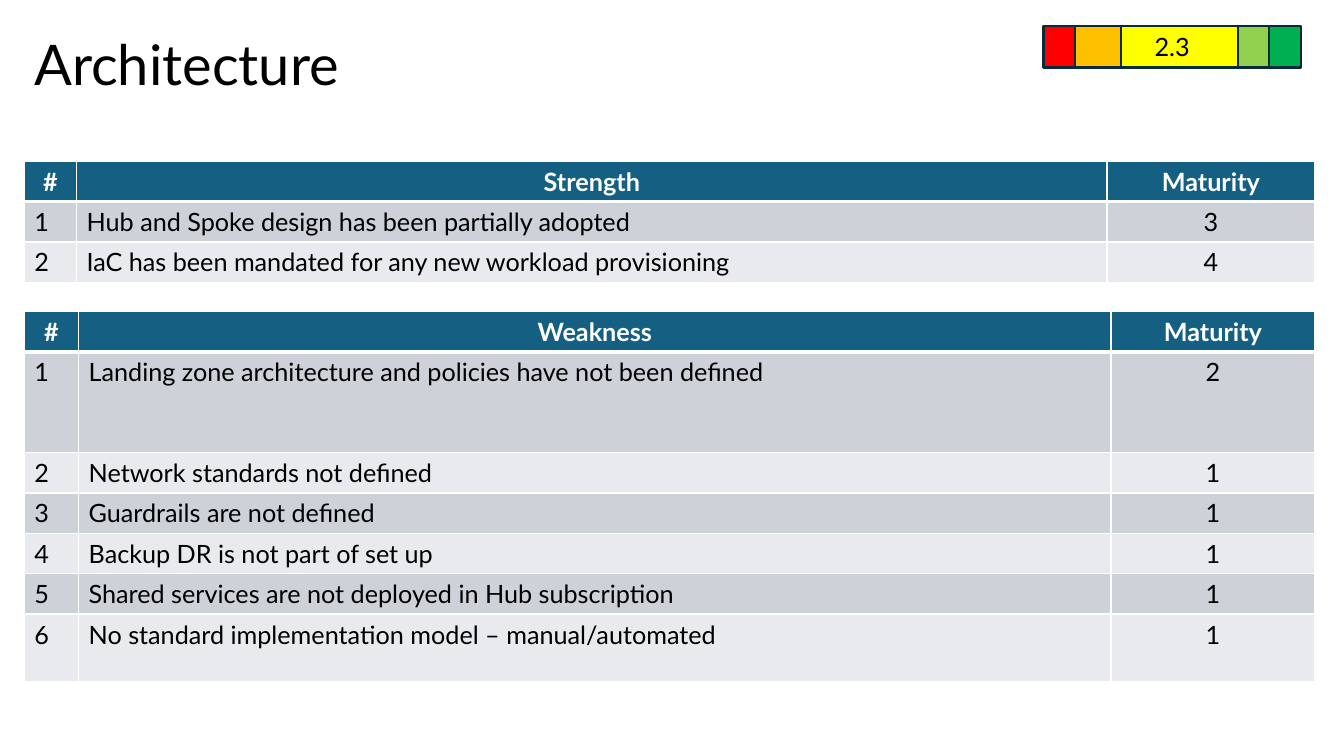
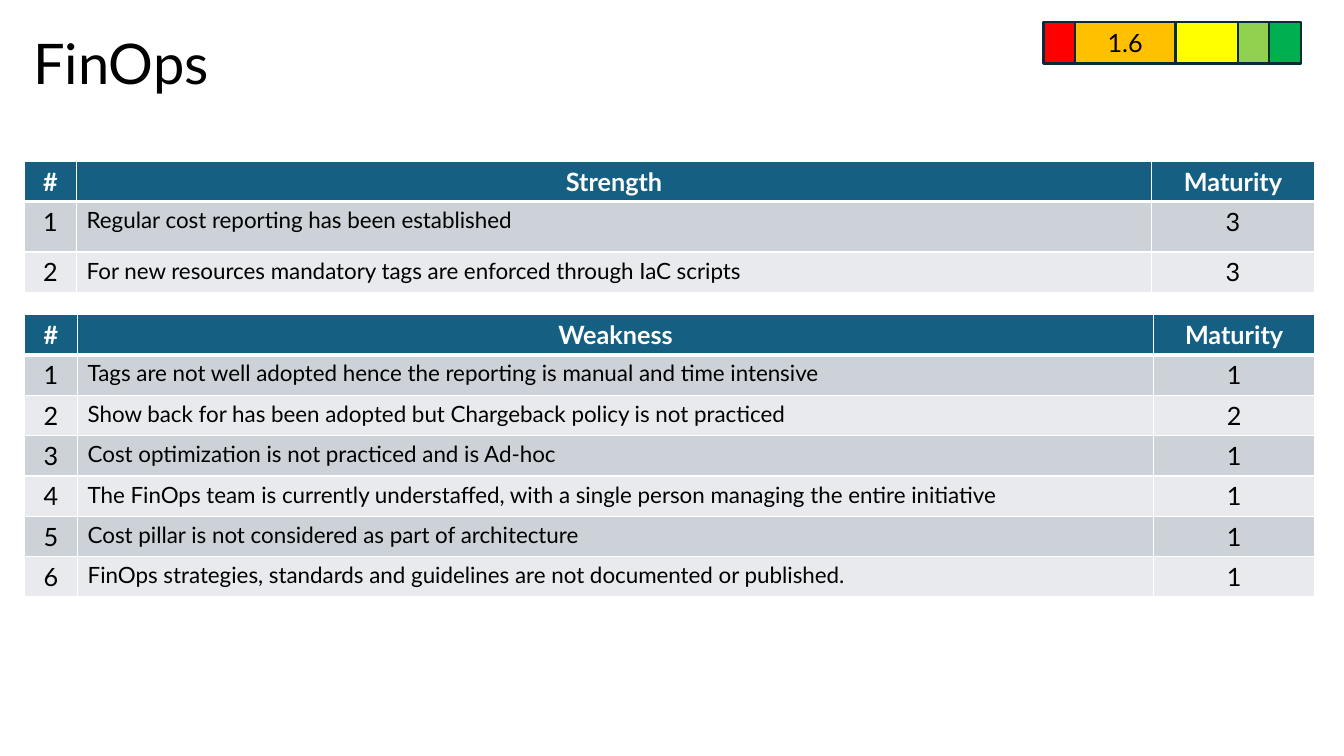
from dataclasses import dataclass

from lxml.etree import SubElement
from pptx import Presentation
from pptx.dml.color import RGBColor
from pptx.enum.shapes import MSO_SHAPE as Shape
from pptx.enum.text import MSO_ANCHOR as Anchor, MSO_AUTO_SIZE as AutoSize, PP_ALIGN as Align
from pptx.oxml.ns import qn
from pptx.slide import Slide
from pptx.table import _Cell as Cell
from pptx.text.text import TextFrame
from pptx.util import Inches, Pt

BLACK = RGBColor(0x00, 0x00, 0x00)
WHITE = RGBColor(0xFF, 0xFF, 0xFF)
HEADER_BLUE = RGBColor(0x15, 0x60, 0x82)
BANDS = (RGBColor(0xCC, 0xD2, 0xD8), RGBColor(0xE8, 0xEA, 0xED))
METER_LINE = RGBColor(0x09, 0x2A, 0x39)
RED = RGBColor(0xFF, 0x00, 0x00)
ORANGE = RGBColor(0xFF, 0xC0, 0x00)
YELLOW = RGBColor(0xFF, 0xFF, 0x00)
LIGHT_GREEN = RGBColor(0x92, 0xD0, 0x50)
GREEN = RGBColor(0x00, 0xB0, 0x50)

FONT = "Lato"
TITLE_FORMAT = {"name": FONT, "size": Pt(40), "bold": False}
HEADER_FORMAT = {"name": FONT, "size": Pt(18), "bold": True}
BODY_FORMAT = {"name": FONT, "size": Pt(18), "bold": False}

TABLE_LEFT, TABLE_WIDTH, ROW_HEIGHT = 0.24, 12.8, 0.4
METER_LEFT, METER_STEP, LEVEL_WIDTH, LEVEL_HEIGHT = 10.35, 0.31, 1.31, 0.41
LEVEL_COLORS = (RED, ORANGE, YELLOW, LIGHT_GREEN, GREEN)
STACKING = (GREEN, LIGHT_GREEN, RED, YELLOW, ORANGE)


@dataclass(frozen=True)
class Finding:
    text: str
    maturity: int
    height: float = ROW_HEIGHT


@dataclass(frozen=True)
class FindingTable:
    heading: str
    top: float
    number_width: float
    maturity_width: float
    findings: tuple[Finding, ...]
    header_height: float = ROW_HEIGHT


@dataclass(frozen=True)
class Meter:
    top: float
    score: str
    level: RGBColor
    orange_width: float


@dataclass(frozen=True)
class Page:
    title: str
    title_box: tuple[float, float, float, float]
    meter: Meter
    tables: tuple[FindingTable, ...]
    number_align: Align
    text_size: int


PAGES = (
    Page(
        "Architecture", (0.24, 0.07, 10.11, 1.2), Meter(0.26, "2.3", YELLOW, 0.46),
        (
            FindingTable("Strength", 1.6, 0.52, 2.06, (
                Finding("Hub and Spoke design has been partially adopted", 3),
                Finding("IaC has been mandated for any new workload provisioning", 4),
            )),
            FindingTable("Weakness", 3.09, 0.54, 2.02, (
                Finding("Landing zone architecture and policies have not been defined", 2, 1),
                Finding("Network standards not defined", 1),
                Finding("Guardrails are not defined", 1),
                Finding("Backup DR is not part of set up", 1),
                Finding("Shared services are not deployed in Hub subscription", 1),
                Finding("No standard implementation model – manual/automated", 1, 0.67),
            )),
        ),
        Align.LEFT, 18,
    ),
    Page(
        "FinOps", (0.23, 0.22, 11.5, 0.88), Meter(0.22, "1.6", ORANGE, 1),
        (
            FindingTable("Strength", 1.6, 0.52, 1.62, (
                Finding("Regular cost reporting has been established", 3, 0.5),
                Finding("For new resources mandatory tags are enforced through IaC scripts", 3),
            )),
            FindingTable("Weakness", 3.12, 0.53, 1.6, (
                Finding("Tags are not well adopted hence the reporting is manual and time intensive", 1),
                Finding("Show back for has been adopted but Chargeback policy is not practiced", 2),
                Finding("Cost optimization is not practiced and is Ad-hoc", 1),
                Finding("The FinOps team is currently understaffed, with a single person "
                        "managing the entire initiative", 1),
                Finding("Cost pillar is not considered as part of architecture", 1),
                Finding("FinOps strategies, standards and guidelines are not documented "
                        "or published.", 1),
            )),
        ),
        Align.CENTER, 16,
    ),
)


def write_text(frame: TextFrame, text: str, align: Align, color: RGBColor, font_format: dict) -> None:
    para = frame.paragraphs[0]
    para.alignment = align
    span = para.add_run()
    span.text = text
    for name, value in font_format.items():
        setattr(span.font, name, value)
    span.font.color.rgb = color


def add_title(slide: Slide, page: Page) -> None:
    title = slide.shapes.title
    title.left, title.top, title.width, title.height = map(Inches, page.title_box)
    frame = title.text_frame
    frame.auto_size = AutoSize.NONE
    frame.vertical_anchor = Anchor.MIDDLE
    write_text(frame, page.title, Align.LEFT, BLACK, TITLE_FORMAT)
    frame.paragraphs[0].line_spacing = 0.9


def set_borders(cell: Cell, top: float, bottom: float) -> None:
    """Draw white cell edges; the side edges are 1 point wide."""
    properties = cell._tc.get_or_add_tcPr()
    for edge, width in {"lnL": 1, "lnR": 1, "lnT": top, "lnB": bottom}.items():
        line = SubElement(properties, qn(f"a:{edge}"), w=str(Pt(width)))
        fill = SubElement(line, qn("a:solidFill"))
        SubElement(fill, qn("a:srgbClr"), val=str(WHITE))


def add_finding_table(slide: Slide, content: FindingTable, page: Page) -> None:
    heights = [content.header_height, *(finding.height for finding in content.findings)]
    text_width = TABLE_WIDTH - content.number_width - content.maturity_width
    widths = (content.number_width, text_width, content.maturity_width)
    table = slide.shapes.add_table(
        len(heights), len(widths), Inches(TABLE_LEFT), Inches(content.top),
        Inches(TABLE_WIDTH), Inches(sum(heights)),
    ).table
    for column, width in zip(table.columns, widths):
        column.width = Inches(width)
    for row, height in zip(table.rows, heights):
        row.height = Inches(height)

    rows = [("#", content.heading, "Maturity")]
    rows += [(str(number), finding.text, str(finding.maturity))
             for number, finding in enumerate(content.findings, 1)]
    text_format = BODY_FORMAT | {"size": Pt(page.text_size)}
    body_columns = ((page.number_align, BODY_FORMAT), (Align.LEFT, text_format),
                    (Align.CENTER, BODY_FORMAT))
    header_columns = ((Align.CENTER, HEADER_FORMAT),) * len(widths)
    for row_index, texts in enumerate(rows):
        is_header = row_index == 0
        fill = HEADER_BLUE if is_header else BANDS[(row_index - 1) % 2]
        columns = header_columns if is_header else body_columns
        for column_index, (text, (align, font_format)) in enumerate(zip(texts, columns)):
            cell = table.cell(row_index, column_index)
            set_borders(cell, top=3 if row_index == 1 else 1, bottom=3 if is_header else 1)
            cell.fill.solid()
            cell.fill.fore_color.rgb = fill
            write_text(cell.text_frame, text, align, WHITE if is_header else BLACK, font_format)


def add_meter(slide: Slide, meter: Meter) -> None:
    """Stack overlapping level boxes so that the scored level shows widest."""
    group = slide.shapes.add_group_shape()
    for color in STACKING:
        left = METER_LEFT + METER_STEP * LEVEL_COLORS.index(color)
        width = meter.orange_width if color == ORANGE else LEVEL_WIDTH
        box = group.shapes.add_shape(
            Shape.RECTANGLE, Inches(left), Inches(meter.top), Inches(width), Inches(LEVEL_HEIGHT))
        box.shadow.inherit = False
        box.fill.solid()
        box.fill.fore_color.rgb = color
        box.line.color.rgb = METER_LINE
        box.line.width = Pt(1.5)
        if color == meter.level:
            box.text_frame.vertical_anchor = Anchor.MIDDLE
            write_text(box.text_frame, meter.score, Align.CENTER, BLACK, BODY_FORMAT)


def main() -> None:
    deck = Presentation()
    deck.slide_width, deck.slide_height = Inches(13.33), Inches(7.5)
    title_only = deck.slide_layouts.get_by_name("Title Only")
    for page in PAGES:
        slide = deck.slides.add_slide(title_only)
        add_title(slide, page)
        for content in page.tables:
            add_finding_table(slide, content, page)
        add_meter(slide, page.meter)
    deck.save("out.pptx")


if __name__ == "__main__":
    main()
